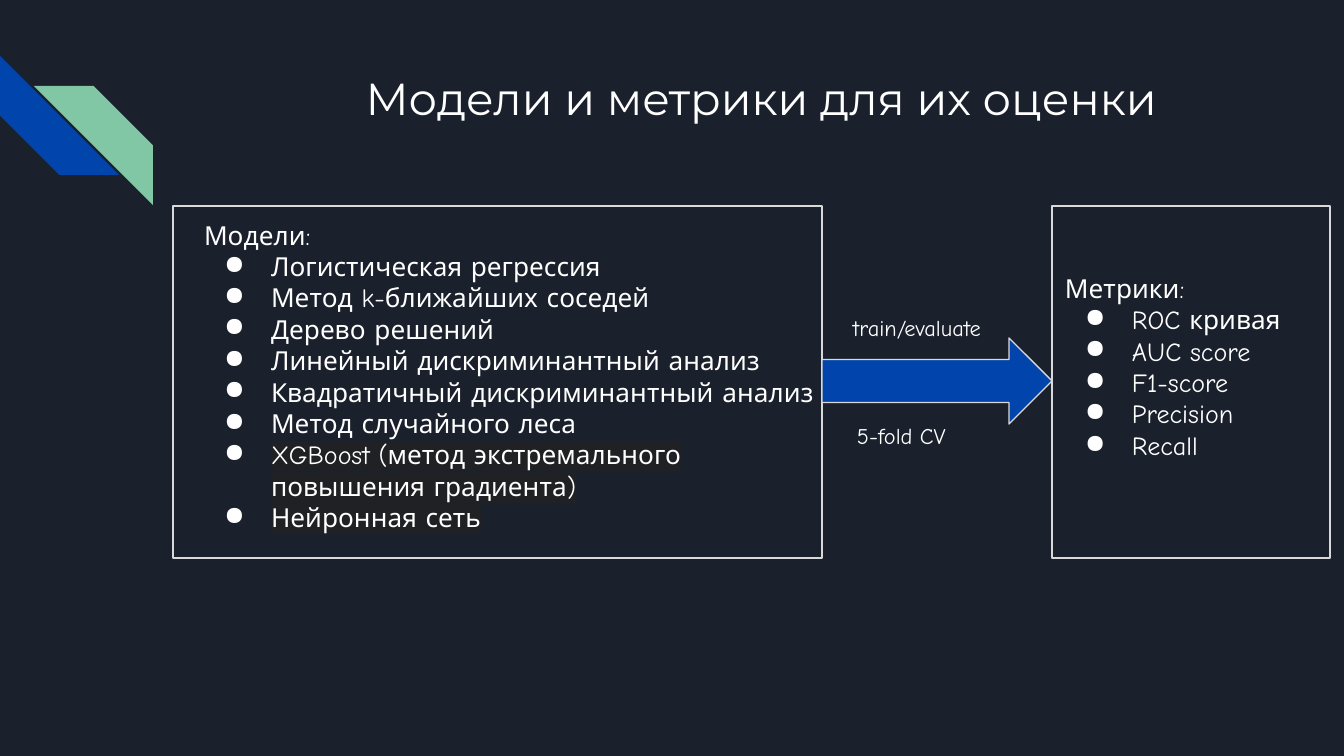
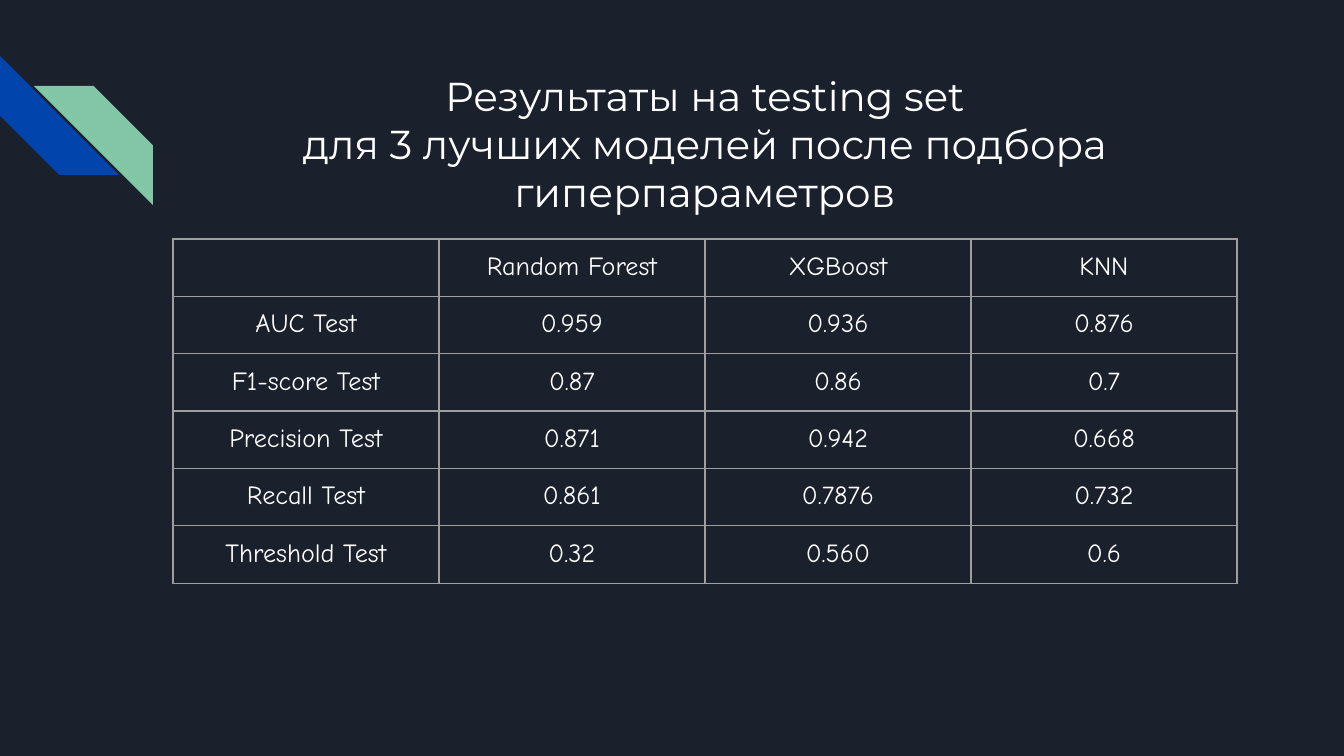
from lxml.etree import SubElement
from pptx import Presentation
from pptx.dml.color import RGBColor
from pptx.enum.shapes import MSO_SHAPE as Shape
from pptx.enum.text import MSO_ANCHOR as Anchor, PP_ALIGN as Align
from pptx.oxml.ns import qn
from pptx.util import Emu, Pt

EMU_PER_PX = 914400 / 134.4
NAVY, BLUE, GREEN = "1B212C", "0145AC", "82C7A5"
WHITE, OUTLINE, GRID, HIGHLIGHT = "FFFFFF", "D9D9D9", "9E9E9E", "202124"
TITLE_FONT, BODY_FONT = "Montserrat", "Comic Neue"
INSET = 13
color = RGBColor.from_string


def px(value):
    return Emu(round(value * EMU_PER_PX))


def write_lines(frame, lines, size, font=BODY_FONT, align=Align.LEFT, bulleted=False):
    """Fill a text frame; in a bulleted frame every line after the first is an item."""
    frame.word_wrap = True
    frame.margin_left = frame.margin_right = px(INSET)
    frame.margin_top = frame.margin_bottom = px(INSET)
    for index, line in enumerate(lines):
        paragraph = frame.paragraphs[0] if index == 0 else frame.add_paragraph()
        paragraph.text = line
        paragraph.alignment = align
        if bulleted and index:
            properties = paragraph._p.get_or_add_pPr()
            properties.set("marL", str(px(67)))
            properties.set("indent", str(px(-47)))
            bullet_color = SubElement(properties, qn("a:buClr"))
            SubElement(bullet_color, qn("a:srgbClr"), val=WHITE)
            SubElement(properties, qn("a:buChar"), char="●")
        paragraph.font.size = Pt(size)
        paragraph.font.name = font
        paragraph.font.color.rgb = color(WHITE)


presentation = Presentation()
presentation.slide_width, presentation.slide_height = px(1344), px(756)

# Shared background, corner stripes and title
titles = [
    (["Модели и метрики для их оценки"], 24, 191, 1140),
    (["Результаты на testing set", "для 3 лучших моделей после подбора гиперпараметров"],
     21.6, 173, 1064),
]
for lines, size, left, width in titles:
    slide = presentation.slides.add_slide(presentation.slide_layouts[6])
    slide.background.fill.solid()
    slide.background.fill.fore_color.rgb = color(NAVY)
    for x, y, fill, rotation, flip in [(0, 56, BLUE, 270, "0"), (34, 86, GREEN, 0, "1")]:
        stripe = slide.shapes.add_shape(Shape.DIAGONAL_STRIPE, px(x), px(y), px(119), px(119))
        stripe.shadow.inherit = False
        stripe.fill.solid()
        stripe.fill.fore_color.rgb = color(fill)
        stripe.line.fill.background()
        stripe.rotation = rotation
        stripe.element.spPr.get_or_add_xfrm().set("flipH", flip)
    title = slide.shapes.add_textbox(px(left), px(58), px(width), px(134))
    write_lines(title.text_frame, lines, size, TITLE_FONT, Align.CENTER)

models_slide, results_slide = presentation.slides

# Models list
models = [
    "Модели:",
    "Логистическая регрессия",
    "Метод k-ближайших соседей",
    "Дерево решений",
    "Линейный дискриминантный анализ",
    "Квадратичный дискриминантный анализ",
    "Метод случайного леса",
    "XGBoost (метод экстремального повышения градиента)",
    "Нейронная сеть",
]
models_text = models_slide.shapes.add_textbox(px(191), px(206), px(640), px(344)).text_frame
write_lines(models_text, models, 14, bulleted=True)
for paragraph in models_text.paragraphs[-2:]:
    run_properties = paragraph.runs[0]._r.get_or_add_rPr()
    highlight = SubElement(run_properties, qn("a:highlight"))
    SubElement(highlight, qn("a:srgbClr"), val=HIGHLIGHT)

# Models frame, arrow and metrics frame
for kind, left, top, width, height, fill in [
    (Shape.RECTANGLE, 173, 206, 649, 352, None),
    (Shape.RIGHT_ARROW, 822, 338, 230, 86, BLUE),
    (Shape.RECTANGLE, 1052, 206, 278, 352, None),
]:
    shape = models_slide.shapes.add_shape(kind, px(left), px(top), px(width), px(height))
    shape.shadow.inherit = False
    shape.line.color.rgb = color(OUTLINE)
    shape.line.width = Pt(0.75)
    if fill:
        shape.fill.solid()
        shape.fill.fore_color.rgb = color(fill)
    else:
        shape.fill.background()

# Metrics list, set slightly above the middle of the last frame
metrics = ["Метрики:", "ROC кривая", "AUC score", "F1-score", "Precision", "Recall"]
write_lines(shape.text_frame, metrics, 14, bulleted=True)
shape.text_frame.vertical_anchor = Anchor.MIDDLE
shape.text_frame.margin_bottom = px(INSET + 31)

# Arrow labels
for label, left, top in [("train/evaluate", 840, 301), ("5-fold CV", 844, 409)]:
    box = models_slide.shapes.add_textbox(px(left), px(top), px(194), px(54))
    write_lines(box.text_frame, [label], 12)

# Results table
results = [
    ["", "Random Forest", "XGBoost", "KNN"],
    ["AUC Test", "0.959", "0.936", "0.876"],
    ["F1-score Test", "0.87", "0.86", "0.7"],
    ["Precision Test", "0.871", "0.942", "0.668"],
    ["Recall Test", "0.861", "0.7876", "0.732"],
    ["Threshold Test", "0.32", "0.560", "0.6"],
]
row_count, column_count = len(results), len(results[0])
table = results_slide.shapes.add_table(
    row_count, column_count, px(173), px(239), px(266 * column_count), px(57 * row_count)
).table
table.first_row = table.horz_banding = False
for row, values in enumerate(results):
    for column, value in enumerate(values):
        cell = table.cell(row, column)
        if value:
            write_lines(cell.text_frame, [value], 14, align=Align.CENTER)
            cell.margin_left = cell.margin_right = px(INSET)
            cell.margin_top = cell.margin_bottom = px(INSET)
        cell_properties = cell._tc.get_or_add_tcPr()
        for side in ("a:lnL", "a:lnR", "a:lnT", "a:lnB"):
            border = SubElement(cell_properties, qn(side), w=str(Pt(0.75)))
            border_fill = SubElement(border, qn("a:solidFill"))
            SubElement(border_fill, qn("a:srgbClr"), val=GRID)
        cell.fill.background()

presentation.save("out.pptx")
